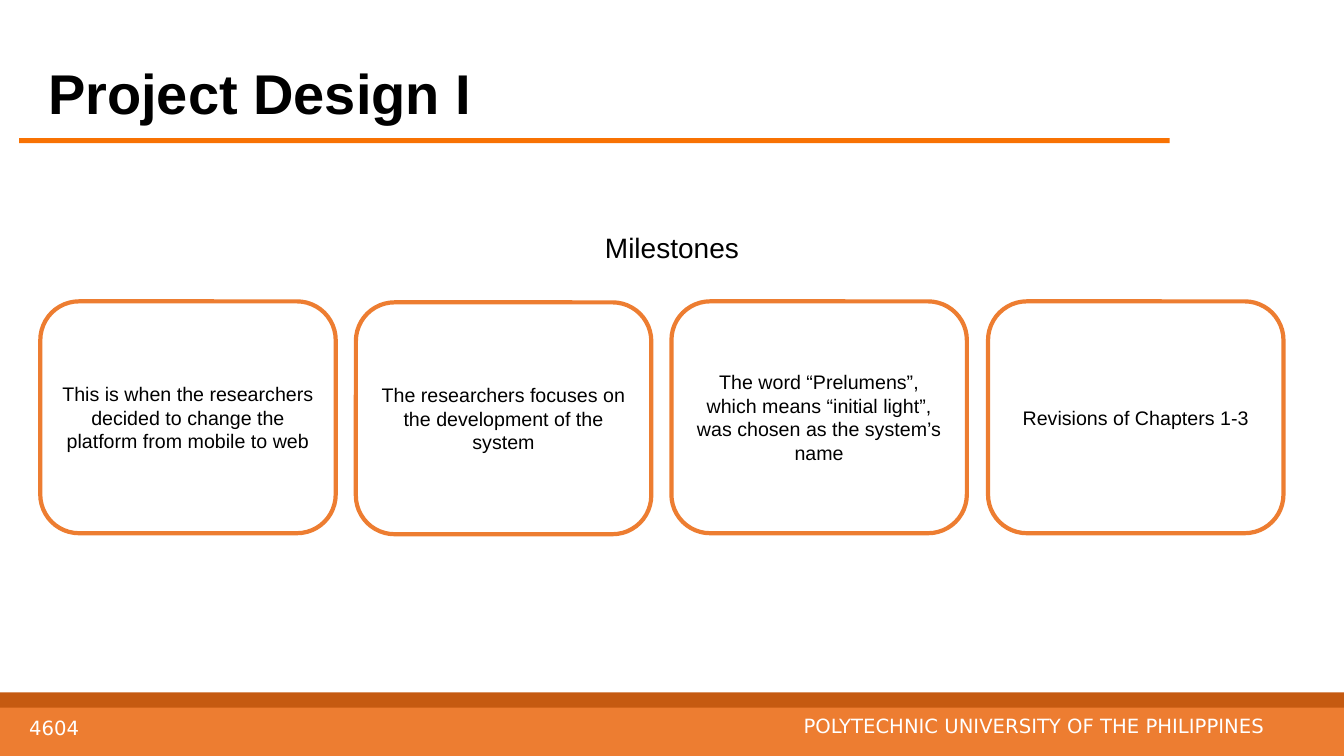
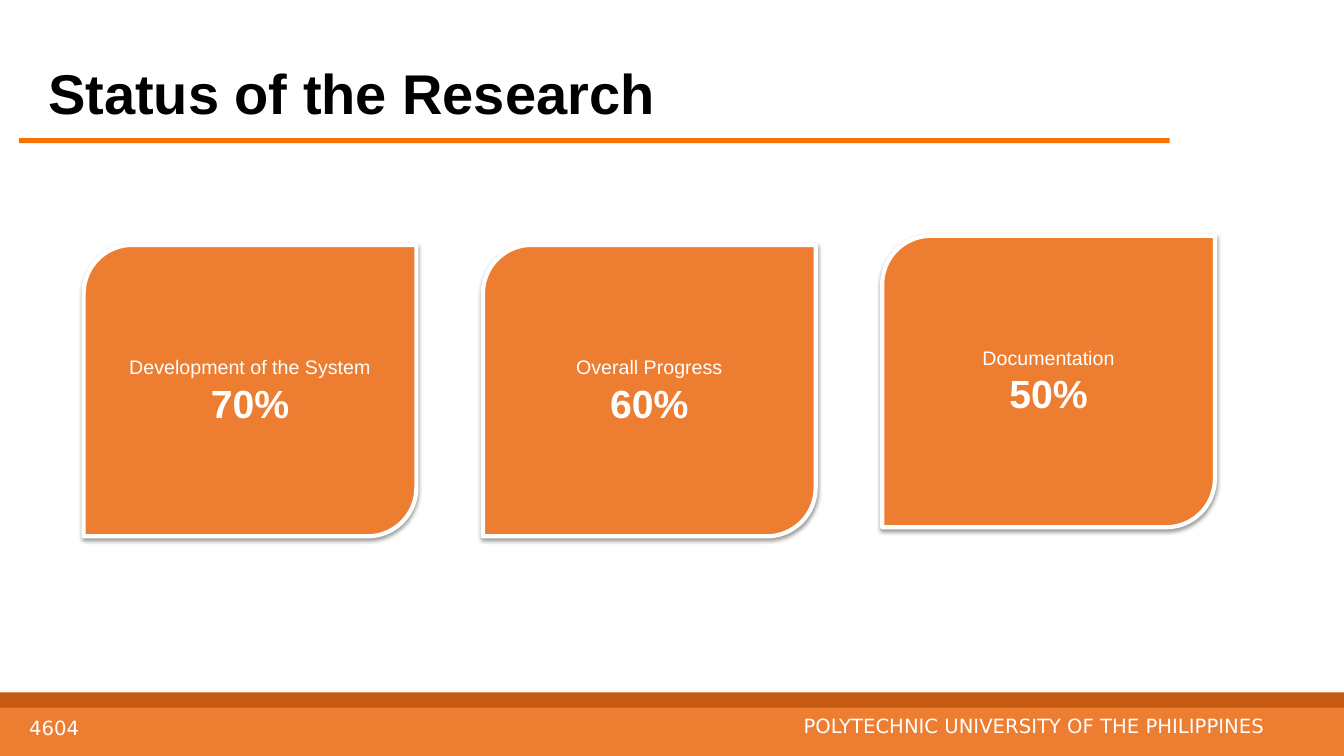
import pptx
import pptx.dml.color
import pptx.enum.shapes
import pptx.enum.text
import pptx.oxml.ns
import pptx.util
import lxml.etree

SCALE = 9144
ORANGE, DARK, RULE = "ED7D31", "C55A11", "F87203"
WHITE, BLACK = "FFFFFF", "000000"
SHAPE = pptx.enum.shapes.MSO_SHAPE
ANCHOR = pptx.enum.text.MSO_ANCHOR
ALIGN = pptx.enum.text.PP_ALIGN
FIT = pptx.enum.text.MSO_AUTO_SIZE

TITLE = {"name": "Arial", "size": pptx.util.Pt(40), "bold": True}
HEAD = {"name": "Arial", "size": pptx.util.Pt(20)}
BODY = {"name": "Arial", "size": pptx.util.Pt(14)}
SHARE = {"name": "Arial", "size": pptx.util.Pt(28), "bold": True}
FOOT = {"name": "DejaVu Sans", "size": pptx.util.Pt(14)}

GOALS = [
    ("This is when the researchers decided to change the platform from mobile to web", 299),
    ("The researchers focuses on the development of the system", 300),
    ("The word “Prelumens”, which means “initial light”, was chosen as the system’s name", 299),
    ("Revisions of Chapters 1-3", 299),
]
STATES = [
    ("Development of the System", "70%", 243),
    ("Overall Progress", "60%", 243),
    ("Documentation", "50%", 234),
]


def px(*sizes):
    return [pptx.util.Emu(size * SCALE) for size in sizes]


def paint(hue):
    return pptx.dml.color.RGBColor.from_string(hue)


def apply(item, form):
    for key, value in form.items():
        setattr(item, key, value)


def write(frame, lines, hue, para_form, **frame_form):
    apply(frame, {"word_wrap": True, **frame_form})
    for spot, (text, form) in enumerate(lines):
        para = frame.add_paragraph() if spot else frame.paragraphs[0]
        para.text = text
        apply(para, para_form)
        apply(para.font, form)
        para.font.color.rgb = paint(hue)


def label(slide, area, text, form, hue, para_form, **frame_form):
    box = slide.shapes.add_textbox(*px(*area))
    write(box.text_frame, [(text, form)], hue, para_form, **frame_form)


def block(slide, kind, area, fill, edge=None):
    shape = slide.shapes.add_shape(kind, *px(*area))
    shape.shadow.inherit = False
    shape.fill.solid()
    shape.fill.fore_color.rgb = paint(fill)
    if edge:
        shape.line.color.rgb = paint(edge)
        shape.line.width = pptx.util.Pt(3)
    else:
        shape.line.fill.background()
    return shape


def card(slide, kind, area, fill, edge, lines, hue):
    shape = block(slide, kind, area, fill, edge)
    shape.adjustments[0] = 0.167
    write(shape.text_frame, lines, hue, {"alignment": ALIGN.CENTER},
          vertical_anchor=ANCHOR.MIDDLE)
    return shape


def shade(shape):
    tag = pptx.oxml.ns.qn
    group = shape.element.spPr.find(tag("a:effectLst"))
    cast = lxml.etree.SubElement(
        group, tag("a:outerShdw"), blurRad=str(pptx.util.Pt(3.1)),
        dist=str(pptx.util.Pt(1.6)), dir="5400000", rotWithShape="0")
    tone = lxml.etree.SubElement(cast, tag("a:srgbClr"), val=BLACK)
    lxml.etree.SubElement(tone, tag("a:alpha"), val="38000")


def start(deck, title):
    slide = deck.slides.add_slide(deck.slide_layouts[6])
    label(slide, (38, 53, 1108, 77), title, TITLE, BLACK, {},
          auto_size=FIT.SHAPE_TO_FIT_TEXT)
    for area, fill in [((19, 137, 1141, 5), RULE),
                       ((0, 687, 1333, 23), DARK),
                       ((0, 702, 1333, 48), ORANGE)]:
        block(slide, SHAPE.RECTANGLE, area, fill)
    label(slide, (745, 710, 509, 25), "POLYTECHNIC UNIVERSITY OF THE PHILIPPINES",
          FOOT, WHITE, {"alignment": ALIGN.RIGHT, "line_spacing": 0.7},
          margin_left=0, margin_right=0)
    label(slide, (19, 699, 286, 40), "4604", FOOT, WHITE, {"line_spacing": 0.85},
          vertical_anchor=ANCHOR.BOTTOM)
    return slide


def design(deck):
    slide = start(deck, "Project Design I")
    label(slide, (0, 224, 1333, 44), "Milestones", HEAD, BLACK,
          {"alignment": ALIGN.CENTER}, auto_size=FIT.SHAPE_TO_FIT_TEXT)
    for spot, (text, top) in enumerate(GOALS):
        left = 40 + 940 * spot // 3
        card(slide, SHAPE.ROUNDED_RECTANGLE, (left, top, 293, 230),
             WHITE, ORANGE, [(text, BODY)], BLACK)


def status(deck):
    slide = start(deck, "Status of the Research")
    for spot, (text, share, top) in enumerate(STATES):
        shade(card(slide, SHAPE.ROUND_2_DIAG_RECTANGLE,
                   (83 + 396 * spot, top, 330, 289),
                   ORANGE, WHITE, [(text, BODY), (share, SHARE)], WHITE))


def main():
    deck = pptx.Presentation()
    deck.slide_width, deck.slide_height = px(1333, 750)
    design(deck)
    status(deck)
    deck.save("out.pptx")


if __name__ == "__main__":
    main()
